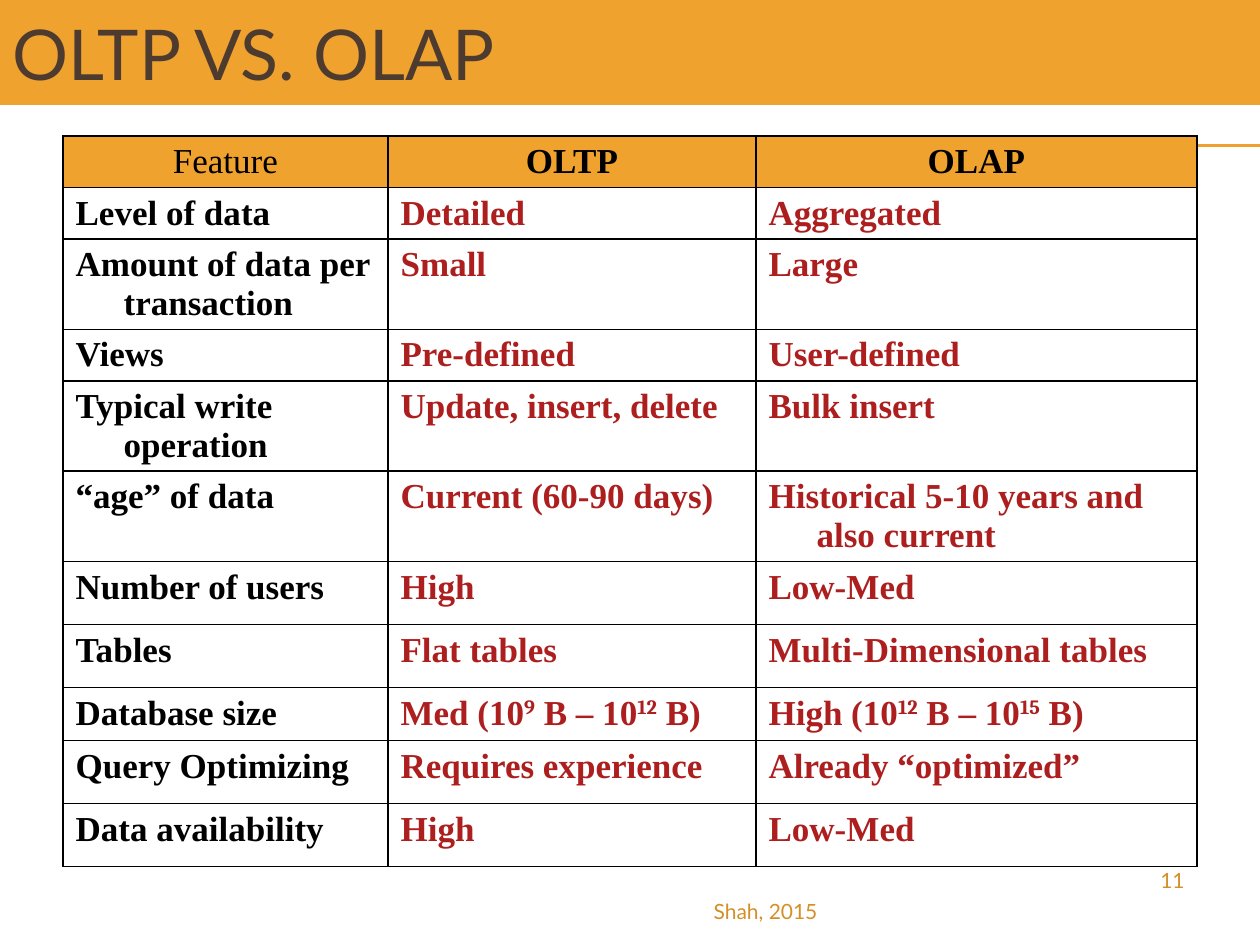
from dataclasses import dataclass

from lxml import etree
from pptx import Presentation
from pptx import util as u
from pptx.dml.color import RGBColor
from pptx.enum import shapes, text
from pptx.oxml import ns


@dataclass(frozen=True)
class Theme:
    accent: str = "F0A22E"
    title: str = "4E3B30"
    ink: str = "000000"
    value: str = "AD1F1F"
    footer: str = "D48F29"
    sans: str = "Lato"
    serif: str = "Times New Roman"
    superscript: str = "Cambria"
    title_size: int = 40
    table_size: int = 20
    footer_size: int = 12


THEME = Theme()
PX_PER_INCH = 126
HANG = 48
COLUMNS = (325, 368, 441)
ROWS = (
    (38, ("Feature", "OLTP", "OLAP")),
    (38, ("Level of data", "Detailed", "Aggregated")),
    (88, ("Amount of data per transaction", "Small", "Large")),
    (38, ("Views", "Pre-defined", "User-defined")),
    (63, ("Typical write operation", "Update, insert, delete", "Bulk insert")),
    (63, ("“age” of data", "Current (60-90 days)",
          "Historical 5-10 years and also current")),
    (63, ("Number of users", "High", "Low-Med")),
    (63, ("Tables", "Flat tables", "Multi-Dimensional tables")),
    (38, ("Database size", "Med (10^9^ B – 10^12^ B)",
          "High (10^12^ B – 10^15^ B)")),
    (63, ("Query Optimizing", "Requires experience", "Already “optimized”")),
    (63, ("Data availability", "High", "Low-Med")),
)


def px(n):
    return u.Emu(round(n * 914400 / PX_PER_INCH))


def set_attrs(obj, values):
    for name, value in values.items():
        setattr(obj, name, value)


def add_run(p, words, size, name, color, bold=False):
    r = p.add_run()
    r.text = words
    set_attrs(r.font, {"size": u.Pt(size), "name": name, "bold": bold})
    r.font.color.rgb = RGBColor.from_string(color)
    return r


def paint(shape, color):
    shape.fill.solid()
    shape.fill.fore_color.rgb = RGBColor.from_string(color)


def set_title(s, words):
    sp = s.shapes.title
    set_attrs(sp, {"left": px(0), "top": px(0),
                   "width": px(1260), "height": px(105)})
    paint(sp, THEME.accent)
    tf = sp.text_frame
    set_attrs(tf, {"vertical_anchor": text.MSO_ANCHOR.MIDDLE,
                   "auto_size": text.MSO_AUTO_SIZE.NONE, "word_wrap": True})
    p = tf.paragraphs[0]
    p.alignment = text.PP_ALIGN.LEFT
    add_run(p, words, THEME.title_size, THEME.sans, THEME.title)


def add_rule(s, y):
    line = s.shapes.add_connector(
        shapes.MSO_CONNECTOR.STRAIGHT, px(70), px(y), px(1260), px(y))
    line.line.color.rgb = RGBColor.from_string(THEME.accent)
    line.line.width = u.Pt(0.75)
    etree.SubElement(line._element.spPr, ns.qn("a:effectLst"))


def add_borders(cell):
    tcPr = cell._tc.get_or_add_tcPr()
    for side in ("lnL", "lnR", "lnT", "lnB"):
        ln = etree.SubElement(tcPr, ns.qn(f"a:{side}"), w=str(u.Pt(1)))
        fill = etree.SubElement(ln, ns.qn("a:solidFill"))
        etree.SubElement(fill, ns.qn("a:srgbClr"), val=THEME.ink)


def fill_cell(cell, words, row, col):
    header = row == 0
    add_borders(cell)
    if header:
        paint(cell, THEME.accent)
    else:
        cell.fill.background()
    p = cell.text_frame.paragraphs[0]
    p.alignment = text.PP_ALIGN.CENTER if header else text.PP_ALIGN.LEFT
    pPr = p._p.get_or_add_pPr()
    pPr.set("marL", str(px(HANG)))
    pPr.set("indent", str(-px(HANG)))
    color = THEME.ink if header or col == 0 else THEME.value
    bold = not (header and col == 0)
    for i, part in enumerate(words.split("^")):
        raised = i % 2 == 1
        name = THEME.superscript if raised else THEME.serif
        r = add_run(p, part, THEME.table_size, name, color, bold)
        if raised:
            r.font._element.set("baseline", "30000")


def add_comparison(s):
    frame = s.shapes.add_table(len(ROWS), len(COLUMNS), px(63), px(136),
                               px(sum(COLUMNS)), px(sum(h for h, _ in ROWS)))
    table = frame.table
    set_attrs(table, {"first_row": False, "horz_banding": False})
    for column, width in zip(table.columns, COLUMNS):
        column.width = px(width)
    for row, (height, values) in enumerate(ROWS):
        table.rows[row].height = px(height)
        for col, words in enumerate(values):
            fill_cell(table.cell(row, col), words, row, col)


def add_footer(s, words, x, y, w, h):
    tf = s.shapes.add_textbox(px(x), px(y), px(w), px(h)).text_frame
    tf.word_wrap = True
    p = tf.paragraphs[0]
    p.alignment = text.PP_ALIGN.RIGHT
    add_run(p, words, THEME.footer_size, THEME.sans, THEME.footer)


def main():
    prs = Presentation()
    set_attrs(prs, {"slide_width": px(1260), "slide_height": px(945)})
    s = prs.slides.add_slide(prs.slide_layouts[5])
    for y in (145, 146):
        add_rule(s, y)
    set_title(s, "OLTP VS. OLAP")
    add_comparison(s)
    add_footer(s, "Shah, 2015", 431, 892, 399, 33)
    add_footer(s, "11", 903, 861, 294, 66)
    prs.save("out.pptx")


if __name__ == "__main__":
    main()
